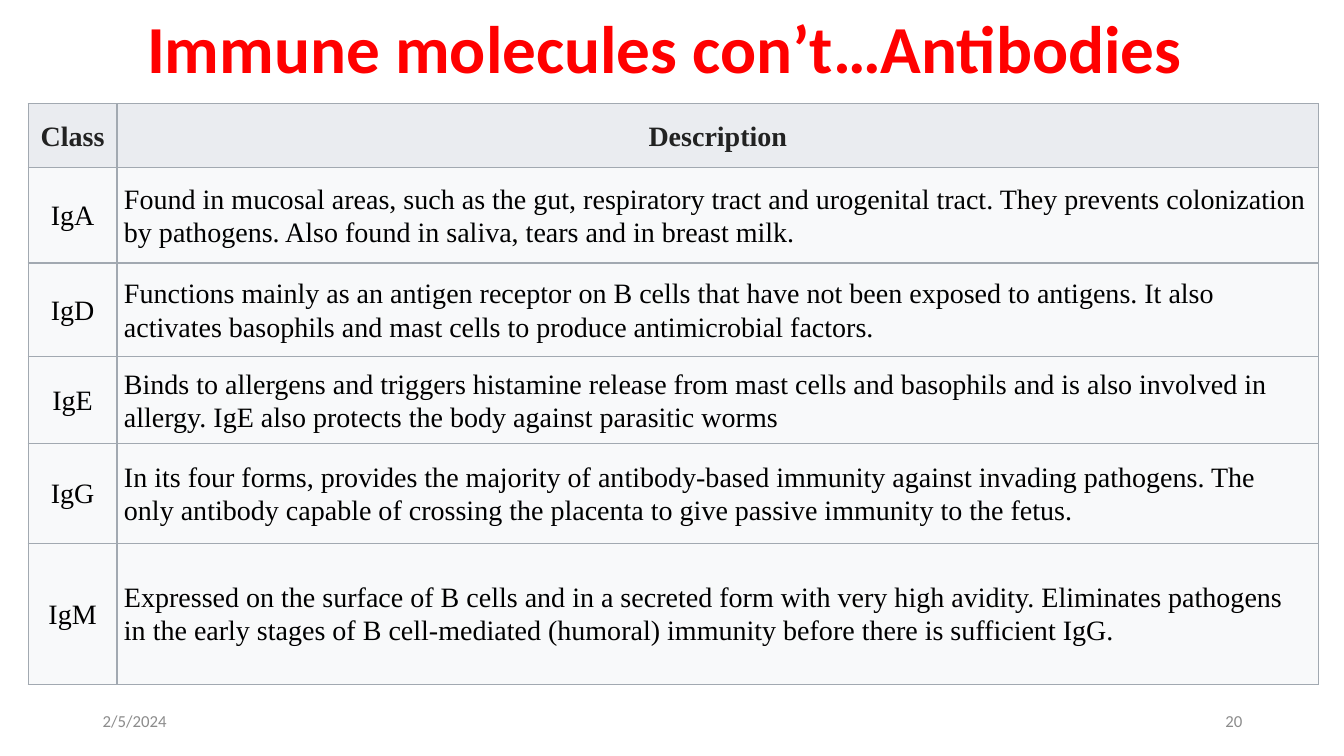
from dataclasses import dataclass

from lxml import etree
from pptx import Presentation
from pptx import util as u
from pptx.dml.color import RGBColor
from pptx.enum import text as t
from pptx.oxml import ns

HUES = {"title": "FF0000", "foot": "8C8C8C", "head": "222222", "body": "000000",
        "top": "EAECF0", "cell": "F8F9FA", "edge": "A2A9B1"}
MID = t.MSO_ANCHOR.MIDDLE
LEFT, CENTER, RIGHT = t.PP_ALIGN.LEFT, t.PP_ALIGN.CENTER, t.PP_ALIGN.RIGHT


@dataclass
class Style:
    font: str
    size: float
    hue: str
    bold: bool = False
    align: t.PP_ALIGN = LEFT
    lead: float = 1.0


@dataclass
class Row:
    name: str
    note: str
    high: float


@dataclass
class Foot:
    words: str
    left: float
    align: t.PP_ALIGN


ROWS = [
    Row("Class", "Description", 0.63),
    Row("IgA", "Found in mucosal areas, such as the gut, respiratory tract and "
        "urogenital tract. They prevents colonization by pathogens. Also found in "
        "saliva, tears and in breast milk.", 0.95),
    Row("IgD", "Functions mainly as an antigen receptor on B cells that have not been "
        "exposed to antigens. It also activates basophils and mast cells to produce "
        "antimicrobial factors.", 0.93),
    Row("IgE", "Binds to allergens and triggers histamine release from mast cells and "
        "basophils and is also involved in allergy. IgE also protects the body against "
        "parasitic worms", 0.86),
    Row("IgG", "In its four forms, provides the majority of antibody-based immunity "
        "against invading pathogens. The only antibody capable of crossing the "
        "placenta to give passive immunity to the fetus.", 0.99),
    Row("IgM", "Expressed on the surface of B cells and in a secreted form with very "
        "high avidity. Eliminates pathogens in the early stages of B cell-mediated "
        "(humoral) immunity before there is sufficient IgG.", 1.4),
]
COLS = [0.88, 11.92]
FEET = [Foot("2/5/2024", 0.92, LEFT), Foot("20", 9.42, RIGHT)]


def write(frame, words: str, style: Style) -> None:
    frame.word_wrap = True
    para = frame.paragraphs[0]
    para.alignment = style.align
    para.line_spacing = style.lead
    run = para.add_run()
    run.text = words
    run.font.name = style.font
    run.font.size = u.Pt(style.size)
    run.font.bold = style.bold
    run.font.color.rgb = RGBColor.from_string(HUES[style.hue])


def edge(cell) -> None:
    props = cell._tc.get_or_add_tcPr()
    for side in ("lnL", "lnR", "lnT", "lnB"):
        line = etree.SubElement(props, ns.qn("a:" + side), w=str(u.Pt(1)))
        fill = etree.SubElement(line, ns.qn("a:solidFill"))
        etree.SubElement(fill, ns.qn("a:srgbClr"), val=HUES["edge"])


def draw_cell(cell, words: str, style: Style, fill: str) -> None:
    cell.margin_left = cell.margin_right = u.Inches(0.07)
    cell.margin_top = cell.margin_bottom = u.Inches(0.03)
    cell.vertical_anchor = MID
    edge(cell)
    cell.fill.solid()
    cell.fill.fore_color.rgb = RGBColor.from_string(HUES[fill])
    write(cell.text_frame, words, style)


def draw_title(slide) -> None:
    title = slide.shapes.title
    title.left, title.top = u.Inches(0.92), u.Inches(0)
    title.width, title.height = u.Inches(11.5), u.Inches(1.03)
    frame = title.text_frame
    frame.auto_size = t.MSO_AUTO_SIZE.NONE
    frame.vertical_anchor = MID
    write(frame, "Immune molecules con’t…Antibodies ",
          Style("Calibri", 48, "title", True, CENTER, 0.9))


def draw_table(slide) -> None:
    high = sum(row.high for row in ROWS)
    table = slide.shapes.add_table(
        len(ROWS), len(COLS), u.Inches(0.28), u.Inches(1.03),
        u.Inches(sum(COLS)), u.Inches(high)).table
    table.horz_banding = False
    for col, wide in zip(table.columns, COLS):
        col.width = u.Inches(wide)
    for r, row in enumerate(ROWS):
        table.rows[r].height = u.Inches(row.high)
        top = r == 0
        for c, words in enumerate((row.name, row.note)):
            align = CENTER if top or c == 0 else LEFT
            style = Style("Times New Roman", 20, "head" if top else "body",
                          top, align, 1.07)
            draw_cell(table.cell(r, c), words, style, "top" if top else "cell")


def draw_foot(slide, foot: Foot) -> None:
    box = slide.shapes.add_textbox(u.Inches(foot.left), u.Inches(6.95),
                                   u.Inches(3), u.Inches(0.4))
    box.text_frame.vertical_anchor = MID
    write(box.text_frame, foot.words, Style("Calibri", 12, "foot", align=foot.align))


def main() -> None:
    deck = Presentation()
    deck.slide_width, deck.slide_height = u.Inches(13.33), u.Inches(7.5)
    slide = deck.slides.add_slide(deck.slide_layouts[5])
    # Heading
    draw_title(slide)
    # Antibody classes
    draw_table(slide)
    # Date and page number
    for foot in FEET:
        draw_foot(slide, foot)
    deck.save("out.pptx")


if __name__ == "__main__":
    main()
